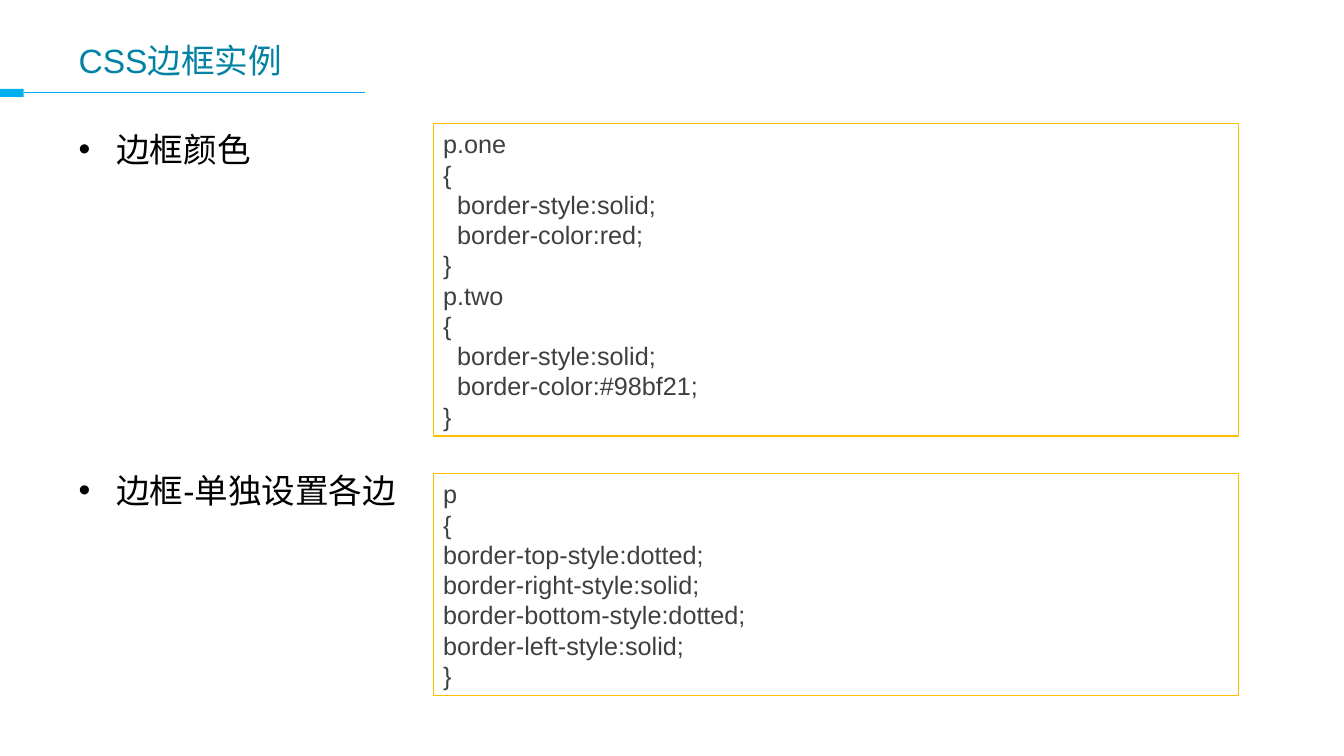
from dataclasses import dataclass

from lxml.etree import SubElement
from pptx import Presentation
from pptx.dml.color import RGBColor
from pptx.enum.shapes import MSO_CONNECTOR, MSO_SHAPE
from pptx.enum.text import MSO_ANCHOR, PP_ALIGN
from pptx.oxml.ns import qn
from pptx.util import Cm, Pt


@dataclass(frozen=True)
class Theme:
    font: str = "Arial"
    title_color: str = "0382A3"
    accent: str = "00B0F0"
    body_color: str = "000000"
    code_color: str = "3D3F41"
    code_fill: str = "FFFFFF"
    code_border: str = "FFC000"
    heading_size: float = 24
    code_size: float = 18
    code_line_height: float = 21.6


class SlideBuilder:
    def __init__(self, slide, theme):
        self.shapes = slide.shapes
        self.theme = theme

    def add_run(self, paragraph, text, size, color):
        run = paragraph.add_run()
        run.text = text
        run.font.name = self.theme.font
        run.font.size = Pt(size)
        run.font.color.rgb = RGBColor.from_string(color)

    def text_box(self, text, left, top, width, height, color, anchor):
        box = self.shapes.add_textbox(Cm(left), Cm(top), Cm(width), Cm(height))
        frame = box.text_frame
        frame.word_wrap = True
        frame.vertical_anchor = anchor
        paragraph = frame.paragraphs[0]
        self.add_run(paragraph, text, self.theme.heading_size, color)
        return paragraph

    def title(self, text):
        self.text_box(text, 1.73, 0.71, 30.48, 1.6,
                      self.theme.title_color, MSO_ANCHOR.MIDDLE)

    def bullet(self, text, top):
        paragraph = self.text_box(text, 1.73, top, 9.1, 1.4,
                                  self.theme.body_color, MSO_ANCHOR.TOP)
        paragraph.space_before = paragraph.space_after = Pt(3)
        properties = paragraph._p.get_or_add_pPr()
        properties.set("marL", str(Cm(0.95)))
        properties.set("indent", str(Cm(-0.95)))
        SubElement(properties, qn("a:buFont")).set("typeface", self.theme.font)
        SubElement(properties, qn("a:buChar")).set("char", "•")

    def rectangle(self, left, top, width, height, fill, border=None):
        shape = self.shapes.add_shape(MSO_SHAPE.RECTANGLE, Cm(left), Cm(top),
                                      Cm(width), Cm(height))
        shape.shadow.inherit = False
        shape.fill.solid()
        shape.fill.fore_color.rgb = RGBColor.from_string(fill)
        if border:
            shape.line.color.rgb = RGBColor.from_string(border)
            shape.line.width = Pt(1)
        else:
            shape.line.fill.background()
        return shape

    def line(self, left, right, top):
        connector = self.shapes.add_connector(MSO_CONNECTOR.STRAIGHT, Cm(left), Cm(top),
                                              Cm(right), Cm(top))
        connector.line.color.rgb = RGBColor.from_string(self.theme.accent)
        connector.line.width = Pt(0.75)
        SubElement(connector._element.spPr, qn("a:effectLst"))
        return connector

    def code_box(self, code, top, height, indent=0):
        """Show code line by line, with declarations indented by the given centimetres."""
        theme = self.theme
        shape = self.rectangle(10.92, top, 20.29, height, theme.code_fill, theme.code_border)
        frame = shape.text_frame
        frame.word_wrap = True
        frame.vertical_anchor = MSO_ANCHOR.TOP
        for index, text in enumerate(code.split("\n")):
            paragraph = frame.paragraphs[0] if index == 0 else frame.add_paragraph()
            paragraph.alignment = PP_ALIGN.LEFT
            paragraph.line_spacing = Pt(theme.code_line_height)
            if text.endswith(";"):
                paragraph._p.get_or_add_pPr().set("marL", str(Cm(indent)))
            self.add_run(paragraph, text, theme.code_size, theme.code_color)


COLOR_CODE = """p.one
{
border-style:solid;
border-color:red;
}
p.two
{
border-style:solid;
border-color:#98bf21;
}"""

SIDES_CODE = """p
{
border-top-style:dotted;
border-right-style:solid;
border-bottom-style:dotted;
border-left-style:solid;
}"""


def main():
    presentation = Presentation()
    presentation.slide_width = Cm(33.87)
    presentation.slide_height = Cm(19.05)
    slide = presentation.slides.add_slide(presentation.slide_layouts[6])
    theme = Theme()
    builder = SlideBuilder(slide, theme)

    marker = builder.rectangle(0, 2.24, 0.6, 0.2, theme.accent)
    title_line = builder.line(9.2, 0.6, 2.34)
    title_line.end_connect(marker, 3)
    builder.title("CSS边框实例")

    builder.bullet("边框颜色", 3.12)
    builder.code_box(COLOR_CODE, 3.12, 7.87, indent=0.35)
    builder.bullet("边框-单独设置各边", 11.71)
    builder.code_box(SIDES_CODE, 11.94, 5.59)

    presentation.save("out.pptx")


if __name__ == "__main__":
    main()
